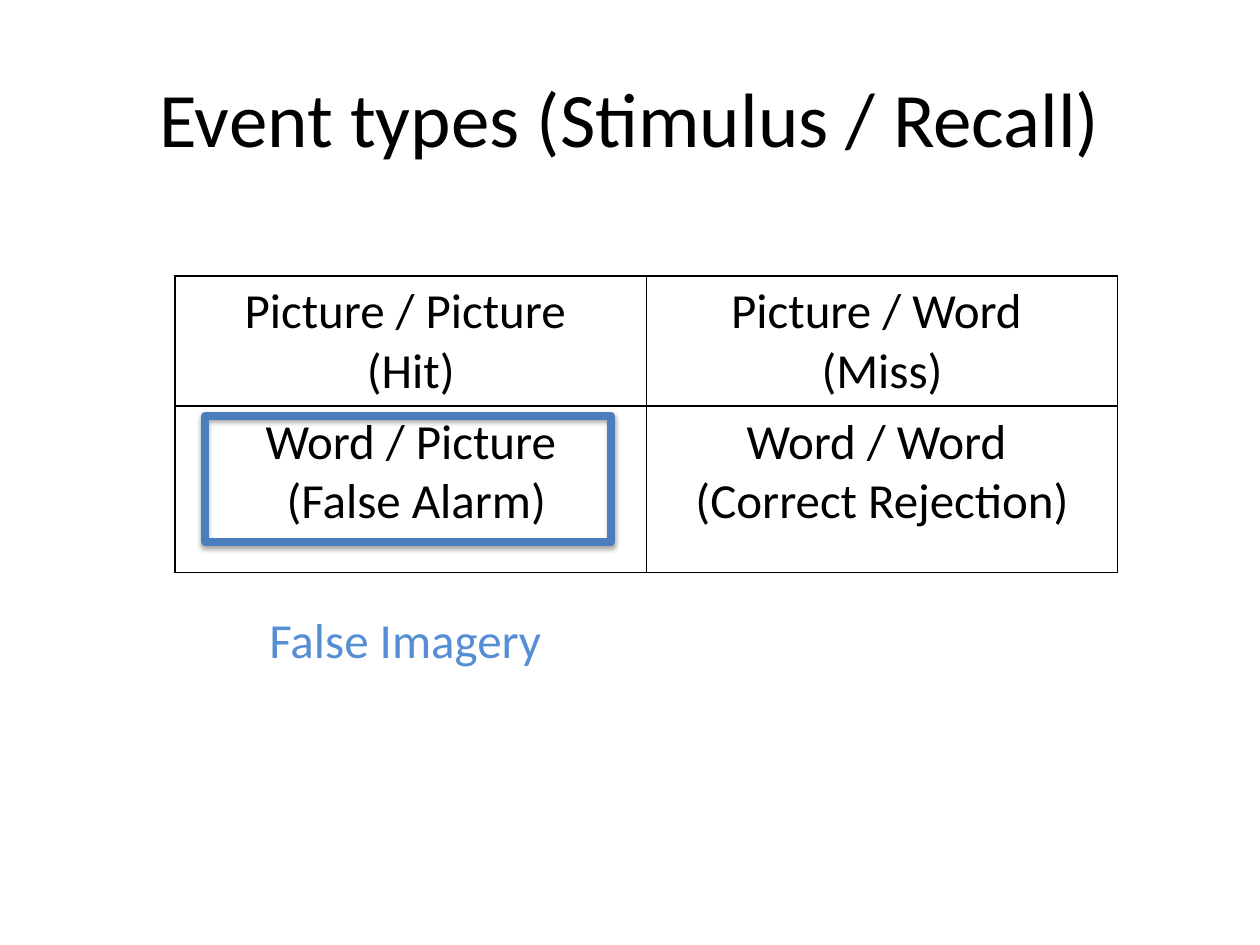
from lxml import etree
from pptx import Presentation
from pptx.dml.color import RGBColor
from pptx.enum import shapes, text
from pptx.oxml import parse_xml
from pptx.oxml.ns import qn
from pptx.util import Cm, Pt

A = "http://schemas.openxmlformats.org/drawingml/2006/main"
BODY = {"name": "Calibri", "size": Pt(28)}
TITLE = {"name": "Calibri", "size": Pt(44)}
EVENTS = [["Picture / Picture \n(Hit)", "Picture / Word \n(Miss)"],
          ["Word / Picture\n (False Alarm)", "Word / Word \n(Correct Rejection)"]]


def rgb(color):
    return RGBColor.from_string(color)


def write(tf, words, fmt, color="000000", align=text.PP_ALIGN.CENTER):
    tf.text = words
    for p in tf.paragraphs:
        p.alignment = align
        for r in p.runs:
            for key, value in fmt.items():
                setattr(r.font, key, value)
            r.font.color.rgb = rgb(color)


def add_title(s, x, y, w, h):
    tf = s.shapes.add_textbox(Cm(x), Cm(y), Cm(w), Cm(h)).text_frame
    tf.word_wrap = True
    tf.vertical_anchor = text.MSO_ANCHOR.MIDDLE
    write(tf, "Event types (Stimulus / Recall)", TITLE)


def set_borders(cell, color="000000", width=Pt(1)):
    # Border lines come before the fill in the cell properties
    tc_pr = cell._tc.get_or_add_tcPr()
    for i, side in enumerate("LRTB"):
        tc_pr.insert(i, parse_xml(
            f'<a:ln{side} xmlns:a="{A}" w="{width}"><a:solidFill>'
            f'<a:srgbClr val="{color}"/></a:solidFill></a:ln{side}>'))


def add_event_table(s, x, y, w, row_heights):
    table = s.shapes.add_table(2, 2, Cm(x), Cm(y), Cm(w),
                               Cm(sum(row_heights))).table
    table.first_row = table.horz_banding = False
    for column in table.columns:
        column.width = Cm(w / 2)
    for row, height, labels in zip(table.rows, row_heights, EVENTS):
        row.height = Cm(height)
        for cell, label in zip(row.cells, labels):
            cell.fill.background()
            set_borders(cell)
            write(cell.text_frame, label, BODY)


def add_highlight(s, x, y, w, h):
    group = s.shapes.add_group_shape()

    # Caption under the frame
    tf = group.shapes.add_textbox(Cm(x + 1.04), Cm(y + 3.78),
                                  Cm(6.1), Cm(1.45)).text_frame
    tf.word_wrap = False
    tf.auto_size = text.MSO_AUTO_SIZE.SHAPE_TO_FIT_TEXT
    write(tf, "False Imagery", BODY, "558ED5", text.PP_ALIGN.LEFT)

    # Frame with rounded line joins
    sp = group.shapes.add_shape(shapes.MSO_SHAPE.RECTANGLE,
                                Cm(x), Cm(y), Cm(w), Cm(h))
    sp.fill.background()
    sp.line.color.rgb = rgb("4B7EBC")
    sp.line.width = Pt(4.5)
    etree.SubElement(sp.line._get_or_add_ln(), qn("a:round"))

    # Soft shadow below the frame
    sp.shadow.inherit = False
    sp._element.spPr.find(qn("a:effectLst")).append(parse_xml(
        f'<a:outerShdw xmlns:a="{A}" blurRad="{Pt(3.1)}" dist="{Pt(1.8)}" '
        'dir="5400000" rotWithShape="0"><a:srgbClr val="000000">'
        '<a:alpha val="35000"/></a:srgbClr></a:outerShdw>'))


def main():
    prs = Presentation()
    prs.slide_width, prs.slide_height = Cm(25.4), Cm(19.05)
    s = prs.slides.add_slide(prs.slide_layouts[6])
    add_title(s, 1.27, 0.76, 22.86, 3.18)
    add_event_table(s, 3.53, 5.56, 19, [1.93, 3.35])
    add_highlight(s, 4.14, 8.38, 8.18, 2.54)
    prs.save("out.pptx")


if __name__ == "__main__":
    main()
